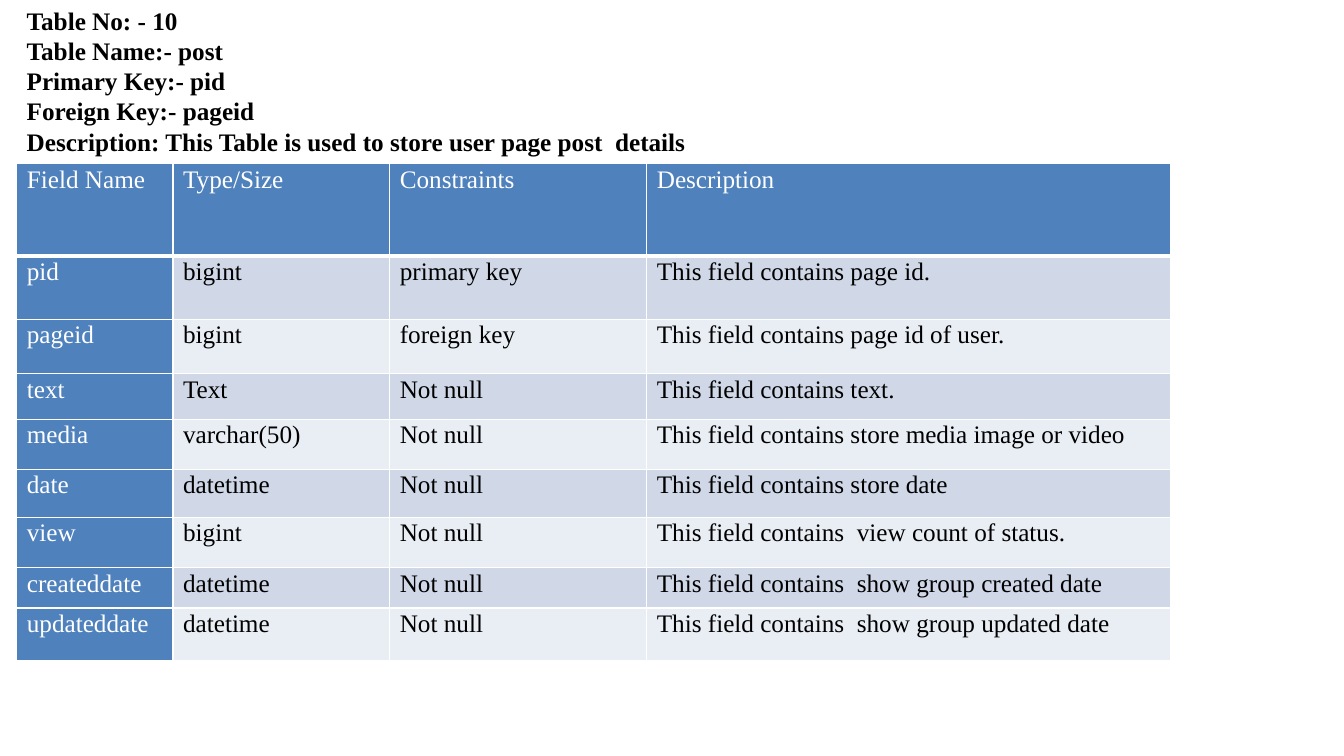
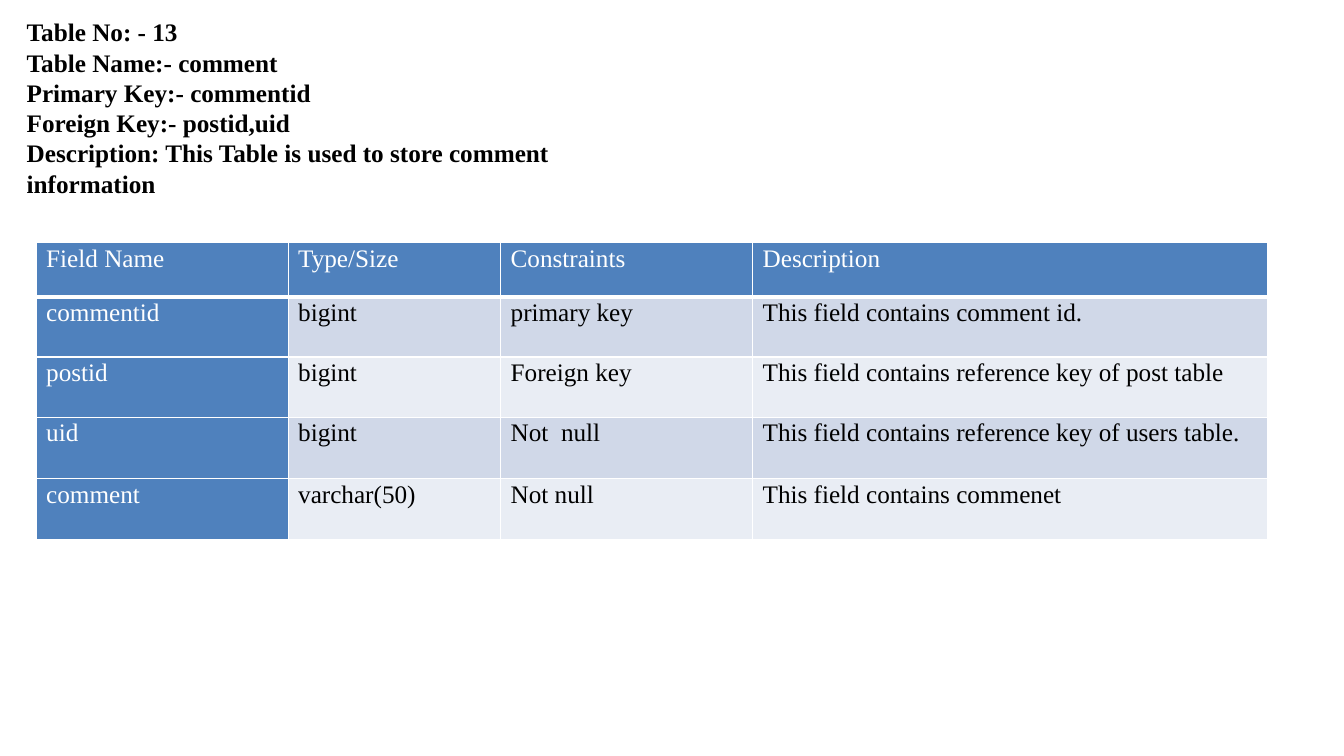
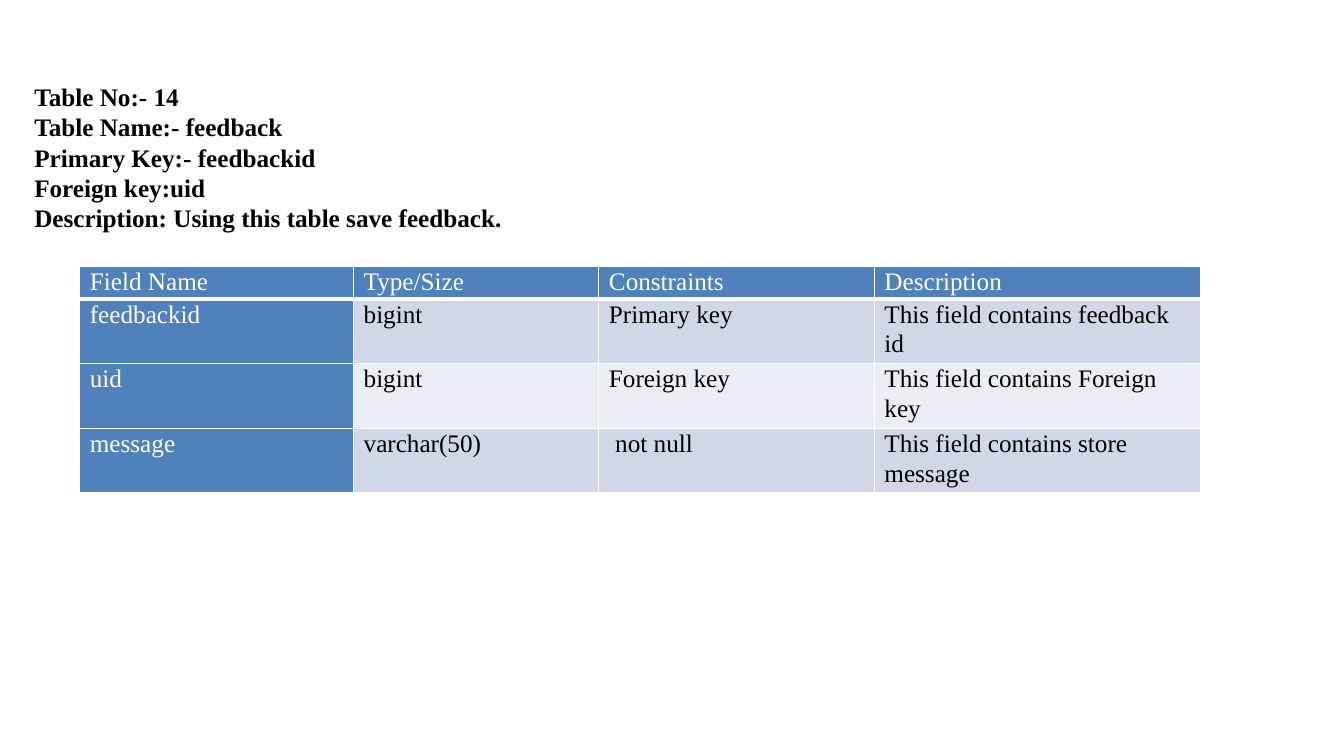
from pptx import Presentation
from pptx.dml.color import RGBColor
from pptx.enum.text import MSO_AUTO_SIZE
from pptx.oxml.ns import qn
from pptx.util import Inches, Pt
from lxml.etree import SubElement

COLOURS = {
    "text": "000000",
    "light": "FFFFFF",
    "accent": "4F81BD",
    "band_dark": "D0D8E8",
    "band_light": "E9EDF4",
}
FONT = "Times New Roman"
TEXT_SIZE = 18
GRID_COLUMNS, GRID_ROWS = 80, 45
HEADINGS = ("Field Name", "Type/Size", "Constraints", "Description")

TABLE_SLIDES = [
    {
        "summary_at": (1, 0, 52.1, 9.7),
        "summary": [
            "Table No: - 10",
            "Table Name:- post",
            "Primary Key:- pid",
            "Foreign Key:- pageid",
            "Description: This Table is used to store user page post  details",
        ],
        "table_at": (1, 9.75),
        "widths": (9.3, 12.9, 15.3, 31.2),
        "heights": (5.5, 3.75, 3.25, 2.7, 3, 2.85, 3, 2.4, 3.15),
        "fields": [
            ("pid", "bigint", "primary key", "This field contains page id."),
            ("pageid", "bigint", "foreign key", "This field contains page id of user."),
            ("text", "Text", "Not null", "This field contains text."),
            ("media", "varchar(50)", "Not null", "This field contains store media image or video"),
            ("date", "datetime", "Not null", "This field contains store date"),
            ("view", "bigint", "Not null", "This field contains  view count of status."),
            ("createddate", "datetime", "Not null", "This field contains  show group created date"),
            ("updateddate", "datetime", "Not null", "This field contains  show group updated date"),
        ],
    },
    {
        "summary_at": (1, 0.7, 40, 11.5),
        "summary": [
            "Table No: - 13",
            "Table Name:- comment",
            "Primary Key:- commentid",
            "Foreign Key:- postid,uid",
            "Description: This Table is used to store comment information",
        ],
        "table_at": (2.15, 14.45),
        "widths": (15, 12.65, 15, 30.65),
        "heights": (3.25, 3.55, 3.6, 3.65, 3.65),
        "fields": [
            ("commentid", "bigint", "primary key", "This field contains comment id."),
            ("postid", "bigint", "Foreign key", "This field contains reference key of post table"),
            ("uid", "bigint", "Not  null", "This field contains reference key of users table."),
            ("comment", "varchar(50)", "Not null", "This field contains commenet"),
        ],
    },
    {
        "summary_at": (1.45, 4.55, 49.6, 11.5),
        "summary": [
            "Table No:- 14",
            "Table Name:- feedback",
            "Primary Key:- feedbackid",
            "Foreign key:uid",
            "Description: Using this table save feedback.",
        ],
        "table_at": (4.75, 15.85),
        "widths": (16.3, 14.6, 16.4, 19.4),
        "heights": (1.85, 3.05, 3.05, 3.05),
        "fields": [
            ("feedbackid", "bigint", "Primary key", "This field contains feedback id"),
            ("uid", "bigint", "Foreign key", "This field contains Foreign key"),
            ("message", "varchar(50)", " not null", "This field contains store message"),
        ],
    },
]


class Deck:
    """Holds the shared style and the current slide; lengths are grid units."""

    def __init__(self):
        self.presentation = Presentation()
        self.presentation.slide_width = Inches(13.33)
        self.presentation.slide_height = Inches(7.5)
        self.slide = None

    def add_slide(self):
        self.slide = self.presentation.slides.add_slide(self.presentation.slide_layouts[6])

    def across(self, columns):
        return round(self.presentation.slide_width * columns / GRID_COLUMNS)

    def down(self, rows):
        return round(self.presentation.slide_height * rows / GRID_ROWS)

    def style_text(self, paragraph, colour, bold=False):
        for run in paragraph.runs:
            run.font.name = FONT
            run.font.size = Pt(TEXT_SIZE)
            run.font.bold = bold
            run.font.color.rgb = RGBColor.from_string(COLOURS[colour])

    def summary(self, at, lines):
        left, top, width, height = at
        text_box = self.slide.shapes.add_textbox(
            self.across(left), self.down(top), self.across(width), self.down(height))
        text_frame = text_box.text_frame
        text_frame.word_wrap = True
        text_frame.auto_size = MSO_AUTO_SIZE.SHAPE_TO_FIT_TEXT
        text_frame.text = "\n".join(lines)
        for paragraph in text_frame.paragraphs:
            self.style_text(paragraph, "text", bold=True)

    def field_table(self, at, widths, heights, fields):
        records = [HEADINGS, *fields]
        frame = self.slide.shapes.add_table(
            len(records), len(HEADINGS), self.across(at[0]), self.down(at[1]),
            self.across(sum(widths)), self.down(sum(heights)))
        table = frame.table
        table.first_col = True
        for column, width in zip(table.columns, widths):
            column.width = self.across(width)
        for row, height in zip(table.rows, heights):
            row.height = self.down(height)
        for row_index, record in enumerate(records):
            for column_index, text in enumerate(record):
                self.fill_cell(table.cell(row_index, column_index), text, row_index, column_index)

    def fill_cell(self, cell, text, row_index, column_index):
        is_heading = row_index == 0 or column_index == 0
        band = "band_dark" if row_index % 2 else "band_light"
        cell.margin_left = cell.margin_right = Inches(0.1)
        cell.margin_top = cell.margin_bottom = 0
        cell.text_frame.text = text
        paragraph = cell.text_frame.paragraphs[0]
        paragraph.line_spacing = 1.07
        paragraph.space_after = Pt(8)
        self.style_text(paragraph, "light" if is_heading else "text")
        self.border_cell(cell, bottom_width=3 if row_index == 0 else 1)
        cell.fill.solid()
        cell.fill.fore_color.rgb = RGBColor.from_string(COLOURS["accent" if is_heading else band])

    def border_cell(self, cell, bottom_width):
        """Draw all four borders; they must precede the fill in the XML."""
        properties = cell._tc.get_or_add_tcPr()
        for side, width in (("L", 1), ("R", 1), ("T", 1), ("B", bottom_width)):
            line = SubElement(properties, qn(f"a:ln{side}"), w=str(Pt(width)))
            fill = SubElement(line, qn("a:solidFill"))
            SubElement(fill, qn("a:srgbClr"), val=COLOURS["light"])


def main():
    deck = Deck()
    for content in TABLE_SLIDES:
        deck.add_slide()
        deck.summary(content["summary_at"], content["summary"])
        deck.field_table(content["table_at"], content["widths"], content["heights"], content["fields"])
    deck.presentation.save("out.pptx")


if __name__ == "__main__":
    main()
